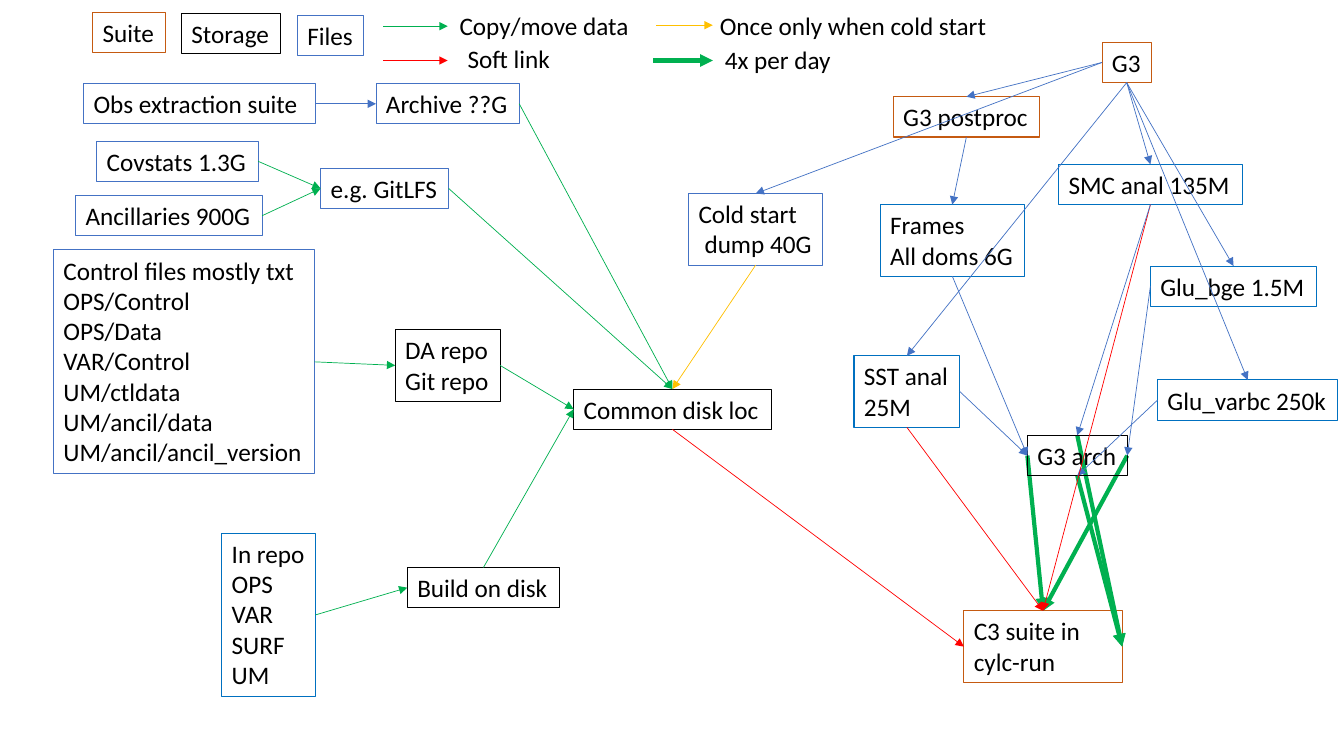
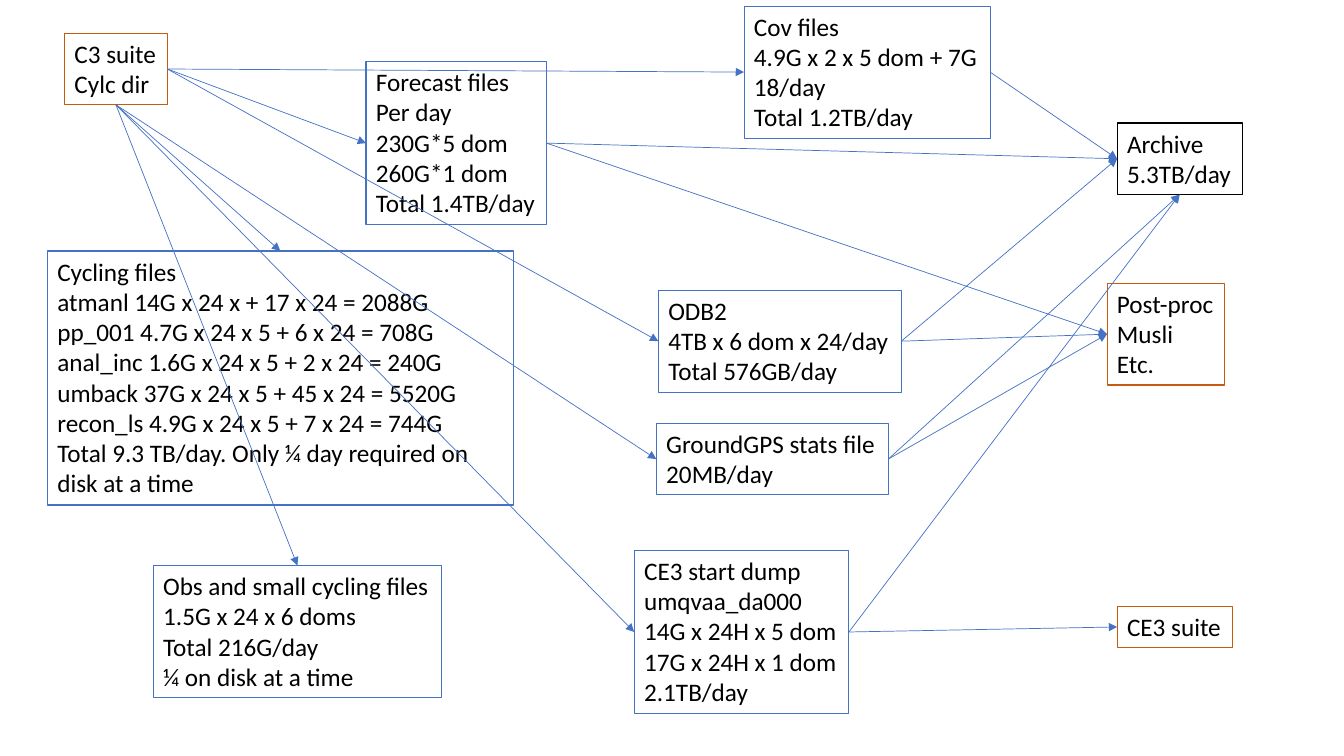
from dataclasses import dataclass

from lxml import etree
from pptx import Presentation, util as u
from pptx.dml.color import RGBColor
from pptx.enum import shapes, text
from pptx.oxml.ns import qn

TOP, LEFT, BOTTOM, RIGHT = range(4)


@dataclass(frozen=True)
class Theme:
    font: str = "Calibri"
    size: float = 18
    ink: str = "000000"
    outline: float = 0.75
    suite: str = "C55A11"
    storage: str = "000000"
    files: str = "4472C4"
    model_files: str = "0070C0"
    # Links are (colour, width in points)
    flow: tuple = ("4472C4", 0.5)
    copy: tuple = ("00B050", 0.5)
    soft: tuple = ("FF0000", 0.5)
    cold: tuple = ("FFC000", 0.5)
    daily: tuple = ("00B050", 3)


THEME = Theme()

# Boxes: left, top, width, outline colour, text
SETUP_BOXES = [
    (956, 606, 157, THEME.suite, "C3 suite in cylc-run"),
    (83, 83, 230, THEME.files, "Obs extraction suite"),
    (373, 83, 142, THEME.files, "Archive ??G"),
    (569, 386, 196, THEME.storage, "Common disk loc"),
    (96, 140, 160, THEME.files, "Covstats 1.3G"),
    (75, 194, 185, THEME.files, "Ancillaries 900G"),
    (318, 167, 127, THEME.files, "e.g. GitLFS"),
    (53, 248, 259, THEME.files,
     "Control files mostly txt\nOPS/Control\nOPS/Data\nVAR/Control\n"
     "UM/ctldata\nUM/ancil/data\nUM/ancil/ancil_version"),
    (392, 327, 104, THEME.storage, "DA repo\nGit repo"),
    (220, 529, 93, THEME.model_files, "In repo\nOPS\nVAR\nSURF\nUM"),
    (404, 563, 151, THEME.storage, "Build on disk"),
    (1093, 42, 49, THEME.suite, "G3"),
    (683, 192, 133, THEME.files, "Cold start\ndump 40G"),
    (886, 96, 145, THEME.suite, "G3 postproc"),
    (873, 203, 143, THEME.model_files, "Frames\nAll doms 6G"),
    (847, 353, 105, THEME.model_files, "SST anal 25M"),
    (1050, 163, 182, THEME.model_files, "SMC anal 135M"),
    (1148, 377, 179, THEME.model_files, "Glu_varbc 250k"),
    (1141, 264, 165, THEME.model_files, "Glu_bge 1.5M"),
    (1019, 432, 99, THEME.storage, "G3 arch"),
    (92, 12, 72, THEME.suite, "Suite"),
    (180, 13, 98, THEME.storage, "Storage"),
    (295, 15, 66, THEME.files, "Files"),
]

OUTPUT_BOXES = [
    (64, 33, 102, THEME.suite, "C3 suite\nCylc dir"),
    (363, 61, 179, THEME.files,
     "Forecast files\nPer day\n230G*5 dom\n260G*1 dom\nTotal 1.4TB/day"),
    (629, 546, 213, THEME.files,
     "CE3 start dump\numqvaa_da000\n14G x 24H x 5 dom\n17G x 24H x 1 dom\n2.1TB/day"),
    (47, 249, 462, THEME.files,
     "Cycling files\natmanl 14G x 24 x + 17 x 24 = 2088G\n"
     "pp_001 4.7G x 24 x 5 + 6 x 24 = 708G\n"
     "anal_inc 1.6G x 24 x 5 + 2 x 24 = 240G\n"
     "umback 37G x 24 x 5 + 45 x 24 = 5520G\n"
     "recon_ls 4.9G x 24 x 5 + 7 x 24 = 744G\n"
     "Total 9.3 TB/day. Only ¼ day required on disk at a time"),
    (738, 6, 244, THEME.files,
     "Cov files\n4.9G x 2 x 5 dom + 7G\n18/day\nTotal 1.2TB/day"),
    (1108, 602, 114, THEME.suite, "CE3 suite"),
    (1108, 122, 124, THEME.storage, "Archive\n5.3TB/day"),
    (653, 288, 241, THEME.files, "ODB2\n4TB x 6 dom x 24/day\nTotal 576GB/day"),
    (152, 561, 286, THEME.files,
     "Obs and small cycling files\n1.5G x 24 x 6 doms\nTotal 216G/day\n"
     "¼ on disk at a time"),
    (1098, 281, 117, THEME.suite, "Post-proc\nMusli\nEtc."),
    (651, 420, 230, THEME.files, "GroundGPS stats file\n20MB/day"),
]

# Boxes whose text wraps to the box width, with the rows they take
WRAPPED_ROWS = {"C3 suite in cylc-run": 2, "SST anal 25M": 2,
                "Cycling files": 8, "Obs extraction suite": 1}

# Links: style, start box, start side, [(end box, end side), ...]
DAILY_LINKS = [
    (THEME.daily, "G3 arch", TOP, [("C3 suite in cylc-run", RIGHT)]),
    (THEME.daily, "G3 arch", BOTTOM, [("C3 suite in cylc-run", RIGHT)]),
    (THEME.daily, "G3 arch", LEFT, [("C3 suite in cylc-run", TOP)]),
    (THEME.daily, "G3 arch", RIGHT, [("C3 suite in cylc-run", TOP)]),
]

SETUP_LINKS = [
    (THEME.flow, "Obs extraction suite", RIGHT, [("Archive ??G", LEFT)]),
    (THEME.copy, "Archive ??G", RIGHT, [("Common disk loc", TOP)]),
    (THEME.soft, "Common disk loc", BOTTOM, [("C3 suite in cylc-run", LEFT)]),
    (THEME.copy, "Covstats 1.3G", RIGHT, [("e.g. GitLFS", LEFT)]),
    (THEME.copy, "Ancillaries 900G", RIGHT, [("e.g. GitLFS", LEFT)]),
    (THEME.copy, "e.g. GitLFS", RIGHT, [("Common disk loc", TOP)]),
    (THEME.copy, "Control files mostly txt", RIGHT, [("DA repo", LEFT)]),
    (THEME.copy, "DA repo", RIGHT, [("Common disk loc", LEFT)]),
    (THEME.copy, "In repo", RIGHT, [("Build on disk", LEFT)]),
    (THEME.copy, "Build on disk", TOP, [("Common disk loc", LEFT)]),
    (THEME.cold, "Cold start", BOTTOM, [("Common disk loc", TOP)]),
    (THEME.flow, "G3", LEFT, [("G3 postproc", TOP), ("Cold start", TOP)]),
    (THEME.flow, "G3", BOTTOM, [("Glu_bge 1.5M", TOP), ("Glu_varbc 250k", TOP),
                                ("SMC anal 135M", TOP), ("SST anal 25M", TOP)]),
    (THEME.flow, "G3 postproc", BOTTOM, [("Frames", TOP)]),
    (THEME.flow, "Glu_bge 1.5M", LEFT, [("G3 arch", RIGHT)]),
    (THEME.flow, "Glu_varbc 250k", LEFT, [("G3 arch", BOTTOM)]),
    (THEME.soft, "SMC anal 135M", BOTTOM, [("C3 suite in cylc-run", TOP)]),
    (THEME.soft, "SST anal 25M", BOTTOM, [("C3 suite in cylc-run", TOP)]),
    (THEME.flow, "Frames", BOTTOM, [("G3 arch", LEFT)]),
    (THEME.flow, "SMC anal 135M", BOTTOM, [("G3 arch", TOP)]),
    (THEME.flow, "SST anal 25M", RIGHT, [("G3 arch", LEFT)]),
]

OUTPUT_LINKS = [
    (THEME.flow, "C3 suite", RIGHT, [("Forecast files", LEFT), ("Cov files", LEFT),
                                     ("ODB2", LEFT)]),
    (THEME.flow, "C3 suite", BOTTOM, [("Cycling files", TOP),
                                      ("Obs and small cycling files", TOP),
                                      ("CE3 start dump", LEFT),
                                      ("GroundGPS stats file", LEFT)]),
    (THEME.flow, "Forecast files", RIGHT, [("Archive", LEFT), ("Post-proc", LEFT)]),
    (THEME.flow, "Cov files", RIGHT, [("Archive", LEFT)]),
    (THEME.flow, "ODB2", RIGHT, [("Archive", LEFT), ("Post-proc", LEFT)]),
    (THEME.flow, "GroundGPS stats file", RIGHT, [("Post-proc", LEFT),
                                                 ("Archive", BOTTOM)]),
    (THEME.flow, "CE3 start dump", RIGHT, [("CE3 suite", LEFT), ("Archive", BOTTOM)]),
]

# Legend: style, arrow start, arrow end, arrow y, label left, top, width, label
LEGEND = [
    (THEME.copy, 380, 444, 26, 446, 5, 190, "Copy/move data"),
    (THEME.soft, 380, 444, 60, 454, 38, 103, "Soft link"),
    (THEME.cold, 651, 707, 25, 704, 5, 288, "Once only when cold start"),
    (THEME.daily, 648, 707, 60, 709, 39, 126, "4x per day"),
]


def px(length):
    """Turn px, 100 to the inch, into EMU."""
    return u.Emu(length * 9144)


def text_height(rows):
    """Height of a box: margins plus 30.3 px a row, rounded to whole px."""
    return 10 + (303 * rows + 5) // 10


def add_label(page, left, top, width, words):
    lines = words.split("\n")
    rows = WRAPPED_ROWS.get(lines[0])
    box = page.shapes.add_textbox(px(left), px(top), px(width),
                                  px(text_height(rows or len(lines))))
    frame = box.text_frame
    frame.text = words
    frame.word_wrap = rows is not None
    frame.auto_size = text.MSO_AUTO_SIZE.SHAPE_TO_FIT_TEXT
    for para in frame.paragraphs:
        for span in para.runs:
            span.font.name = THEME.font
            span.font.size = u.Pt(THEME.size)
            span.font.color.rgb = RGBColor.from_string(THEME.ink)
    return box


def add_boxes(page, rows):
    """Draw outlined boxes and return them by their first line."""
    boxes = {}
    for left, top, width, colour, words in rows:
        box = add_label(page, left, top, width, words)
        box.line.color.rgb = RGBColor.from_string(colour)
        box.line.width = u.Pt(THEME.outline)
        boxes[words.split("\n")[0]] = box
    return boxes


def add_arrow(page, style, x1=0, y1=0, x2=0, y2=0):
    colour, width = style
    arrow = page.shapes.add_connector(shapes.MSO_CONNECTOR.STRAIGHT,
                                      px(x1), px(y1), px(x2), px(y2))
    arrow.line.color.rgb = RGBColor.from_string(colour)
    arrow.line.width = u.Pt(width)
    etree.SubElement(arrow.get_or_add_ln(), qn("a:tailEnd"), type="triangle")
    etree.SubElement(arrow.element.spPr, qn("a:effectLst"))
    return arrow


def add_links(page, boxes, links):
    for style, start, start_side, ends in links:
        for end, end_side in ends:
            arrow = add_arrow(page, style)
            arrow.begin_connect(boxes[start], start_side)
            arrow.end_connect(boxes[end], end_side)


def add_legend(page):
    for style, x1, x2, y, left, top, width, words in LEGEND:
        add_arrow(page, style, x1, y, x2, y)
        add_label(page, left, top, width, words)


def bring_to_front(box):
    box.element.getparent().append(box.element)


def indent(para, length):
    para._p.get_or_add_pPr().set("marL", str(px(length)))


def build_setup_page(page):
    boxes = add_boxes(page, SETUP_BOXES)
    indent(boxes["Cold start"].text_frame.paragraphs[1], 6)
    add_links(page, boxes, DAILY_LINKS)
    bring_to_front(boxes["G3 arch"])
    add_links(page, boxes, SETUP_LINKS)
    add_legend(page)


def build_output_page(page):
    boxes = add_boxes(page, OUTPUT_BOXES)
    add_links(page, boxes, OUTPUT_LINKS)


def main():
    deck = Presentation()
    deck.slide_width, deck.slide_height = px(1333), px(750)
    blank = deck.slide_layouts[6]
    for build in (build_setup_page, build_output_page):
        build(deck.slides.add_slide(blank))
    deck.save("out.pptx")


if __name__ == "__main__":
    main()
